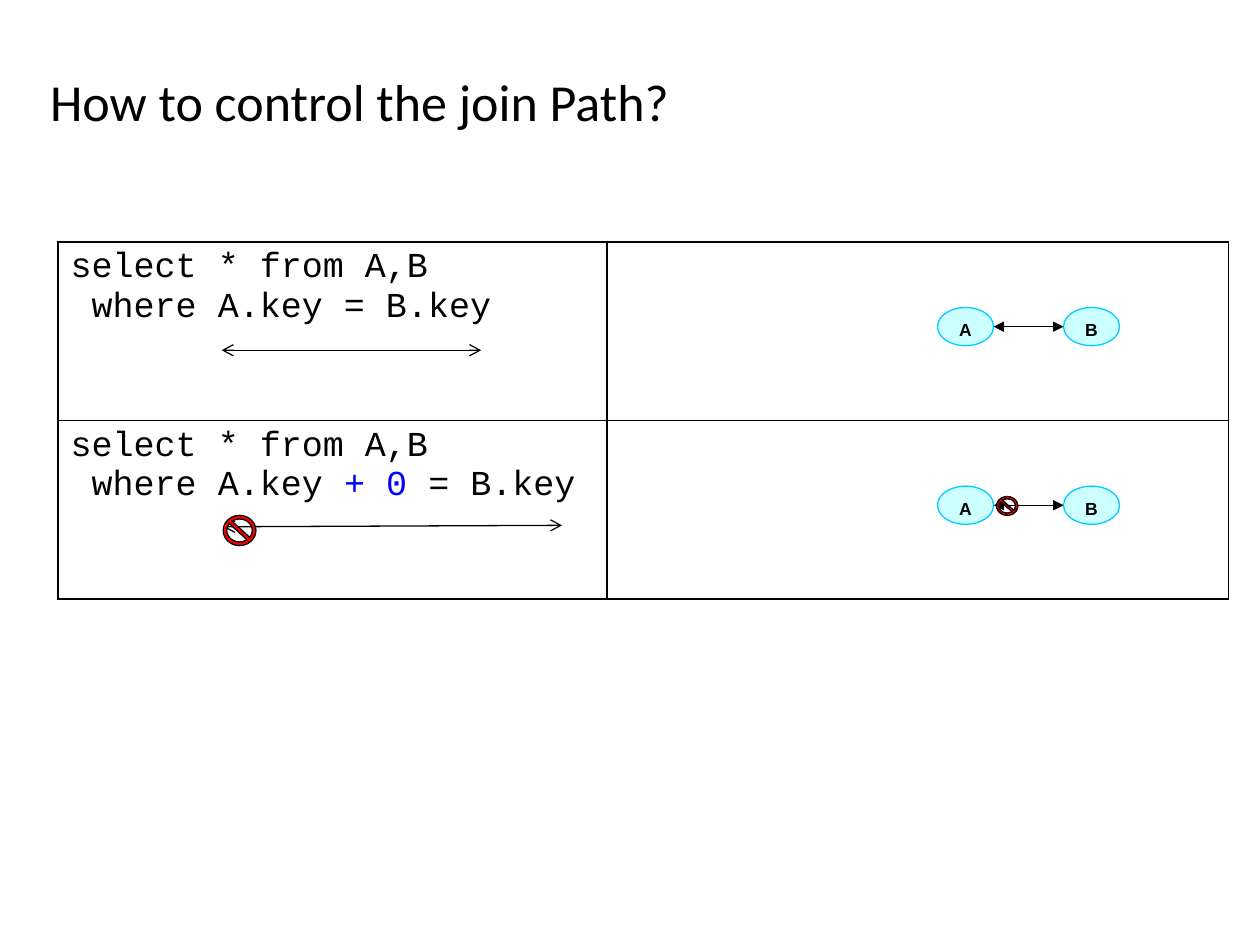
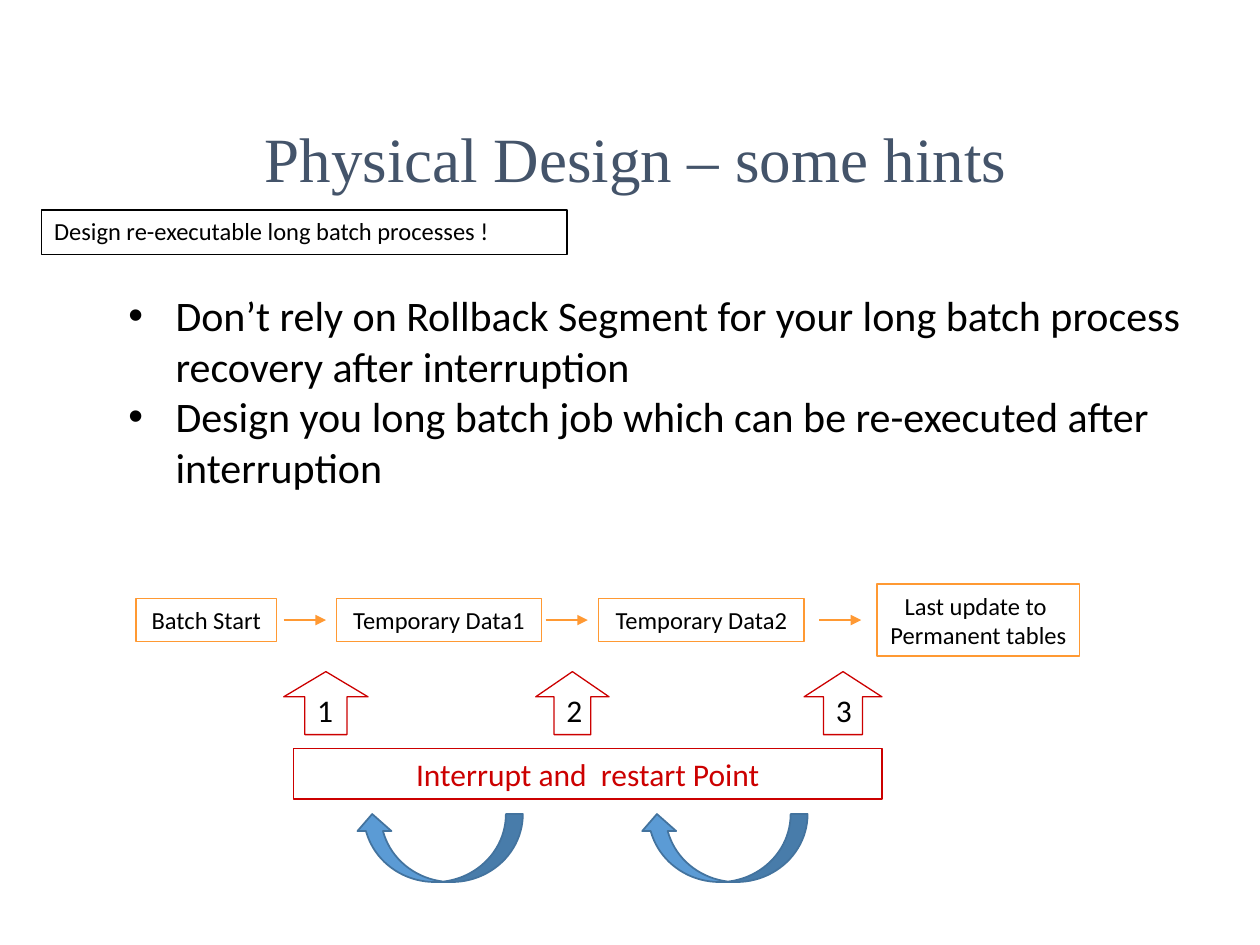
"""Builds two slides on join paths and re-executable batch processes."""
from pptx import Presentation
from pptx import util as u
from pptx.dml import color as dml
from pptx.enum import shapes, text
from pptx.oxml import ns, xmlchemy

COLOURS = {
    "ink": "000000", "slate": "44546A", "code": "0000FF", "node": "CCFFFF", "node_edge": "00CCFF",
    "stop": "FF0000", "step": "FF9933", "restart": "CC0000", "loop": "5B9BD5", "loop_edge": "43739E",
}
LEFT, CENTRE = text.PP_ALIGN.LEFT, text.PP_ALIGN.CENTER
TOP, MIDDLE = text.MSO_ANCHOR.TOP, text.MSO_ANCHOR.MIDDLE
STYLES = {
    "join_title": {"name": "Calibri", "size": 29.7},
    "hints_title": {"name": "Times New Roman", "size": 36},
    "query": {"name": "Courier New", "size": 20},
    "node": {"name": "Arial", "size": 10, "bold": True},
    "label": {"name": "Calibri", "size": 14},
    "restart": {"name": "Calibri", "size": 18},
    "hint": {"name": "Calibri", "size": 24},
}

JOIN_TITLE = "How to control the join Path?"
QUERIES = [
    ["select * from A,B", [(" where A.key = B.key", "ink")]],
    ["select * from A,B", [(" where A.key ", "ink"), ("+ 0", "code"), (" = B.key", "ink")]],
]
TABLE_AT, COLUMN_WIDTHS, ROW_HEIGHT = (1.17, 4.88), (11.07, 12.52), 3.6
NODES = [("A", 18.9), ("B", 21.44)]
NODE_TOP, NODE_SIZE = 6.2, (1.13, 0.77)
KEY_ARROWS = [(4.47, 7.06, 9.7, 7.06), (4.5, 10.62, 11.33, 10.59)]
STOP_SIGNS = [(20.09, 10.01, 0.43, 0.38), (4.5, 10.39, 0.66, 0.61)]

HINTS_TITLE = "Physical Design – some hints"
NOTE = "Design re-executable long batch processes !"
HINTS = [
    "Don’t rely on Rollback Segment for your long batch process recovery after interruption",
    "Design you long batch job which can be re-executed after interruption",
]
HINT_INDENT = 0.95
STEPS = [
    (["Batch Start"], 2.74, 2.84, 0.86),
    (["Temporary Data1"], 6.78, 4.14, 0.86),
    (["Temporary Data2"], 12.07, 4.14, 0.86),
    (["Last update to ", "Permanent tables"], 17.68, 4.09, 1.45),
]
STEP_MIDDLE, STEP_ARROW_LENGTH = 12.5, 0.85
STEP_ARROWS = [5.72, 11, 16.51]
RESTART_POINTS = [("1", 5.72, 1.7), ("2", 10.8, 1.48), ("3", 16.21, 1.57)]
RESTART_LABEL = "Interrupt and  restart Point"
LOOPS = [7.16, 12.9]


def rgb(name):
    return dml.RGBColor.from_string(COLOURS[name])


def assign(target, values):
    for name, value in values.items():
        setattr(target, name, value)


def child(parent, tag, **attributes):
    element = xmlchemy.OxmlElement(tag)
    for name, value in attributes.items():
        element.set(name, value)
    parent.append(element)
    return element


def write(frame, lines, style, colour="ink", align=LEFT, spacing=None):
    for index, line in enumerate(lines):
        para = frame.add_paragraph() if index else frame.paragraphs[0]
        assign(para, {"alignment": align, "line_spacing": spacing})
        for words, tint in [(line, colour)] if isinstance(line, str) else line:
            span = para.add_run()
            span.text = words
            assign(span.font, {**STYLES[style], "size": u.Pt(STYLES[style]["size"])})
            span.font.color.rgb = rgb(tint)


def add_text(page, at, lines, style, anchor=TOP, **options):
    box = page.shapes.add_textbox(*map(u.Cm, at))
    assign(box.text_frame, {"word_wrap": True, "vertical_anchor": anchor})
    write(box.text_frame, lines, style, **options)
    return box


def add_box(page, kind, at, line, fill=None, weight=0.75, lines=(), style="label",
            anchor=MIDDLE, wrap=True, adjust=(), **options):
    box = page.shapes.add_shape(kind, *map(u.Cm, at))
    box.shadow.inherit = False
    for index, value in enumerate(adjust):
        box.adjustments[index] = value
    if fill:
        box.fill.solid()
        box.fill.fore_color.rgb = rgb(fill)
    else:
        box.fill.background()
    box.line.color.rgb = rgb(line)
    box.line.width = u.Pt(weight)
    assign(box.text_frame, {"word_wrap": wrap, "vertical_anchor": anchor})
    write(box.text_frame, lines, style, **options)
    return box


def add_arrow(page, ends, colour, **heads):
    arrow = page.shapes.add_connector(shapes.MSO_CONNECTOR.STRAIGHT, *map(u.Cm, ends))
    arrow.line.color.rgb = rgb(colour)
    arrow.line.width = u.Pt(0.75)
    outline = arrow.line._get_or_add_ln()
    for tag, kind in heads.items():
        child(outline, f"a:{tag}", type=kind)
    child(arrow._element.spPr, "a:effectLst")


def border(cell):
    properties = cell._tc.get_or_add_tcPr()
    for index, side in enumerate(("lnL", "lnR", "lnT", "lnB")):
        edge = xmlchemy.OxmlElement(f"a:{side}")
        edge.set("w", str(u.Pt(1)))
        child(child(edge, "a:solidFill"), "a:srgbClr", val=COLOURS["ink"])
        properties.insert(index, edge)


def add_query_table(page):
    size = sum(COLUMN_WIDTHS), ROW_HEIGHT * len(QUERIES)
    table = page.shapes.add_table(len(QUERIES), 2, *map(u.Cm, TABLE_AT + size)).table
    assign(table, {"first_row": False, "horz_banding": False})
    for column, width in zip(table.columns, COLUMN_WIDTHS):
        column.width = u.Cm(width)
    for row, query in zip(table.rows, QUERIES):
        row.height = u.Cm(ROW_HEIGHT)
        for cell in row.cells:
            cell.fill.background()
            border(cell)
        write(row.cells[0].text_frame, query, "query")


def build_join_slide(page):
    add_text(page, (0.76, 1.52, 14.78, 1.3), [JOIN_TITLE], "join_title", spacing=0.8)
    add_query_table(page)
    width, height = NODE_SIZE
    for row in range(len(QUERIES)):
        top = NODE_TOP + row * ROW_HEIGHT
        for name, left in NODES:
            add_box(page, shapes.MSO_SHAPE.OVAL, (left, top, width, height), "node_edge", "node",
                    lines=[name], style="node", anchor=TOP, align=CENTRE)
        middle = top + height / 2
        add_arrow(page, (NODES[0][1] + width, middle, NODES[1][1], middle), "ink",
                  headEnd="triangle", tailEnd="triangle")
    for ends in KEY_ARROWS:
        add_arrow(page, ends, "ink", headEnd="arrow", tailEnd="arrow")
    for at in STOP_SIGNS:
        add_box(page, shapes.MSO_SHAPE.NO_SYMBOL, at, "ink", "stop", adjust=[0.12])


def build_hints_slide(page):
    rectangle = shapes.MSO_SHAPE.RECTANGLE
    add_box(page, rectangle, (0.84, 4.24, 10.59, 0.89), "ink", weight=1, lines=[NOTE], anchor=TOP)
    add_text(page, (4.24, 2.54, 17.15, 1.27), [HINTS_TITLE], "hints_title",
             anchor=MIDDLE, colour="slate", align=CENTRE)
    hints = add_text(page, (2.34, 5.72, 22.02, 4.37), HINTS, "hint")
    for para in hints.text_frame.paragraphs:
        properties = para._p.get_or_add_pPr()
        properties.set("marL", str(u.Cm(HINT_INDENT)))
        properties.set("indent", str(-u.Cm(HINT_INDENT)))
        child(properties, "a:buFont", typeface="Arial")
        child(properties, "a:buChar", char="•")
    for lines, left, width, height in STEPS:
        add_box(page, rectangle, (left, STEP_MIDDLE - height / 2, width, height), "step",
                lines=lines, wrap=False, align=CENTRE)
    for left in STEP_ARROWS:
        add_arrow(page, (left, STEP_MIDDLE, left + STEP_ARROW_LENGTH, STEP_MIDDLE), "step",
                  tailEnd="triangle")
    for number, left, width in RESTART_POINTS:
        add_box(page, shapes.MSO_SHAPE.UP_ARROW, (left, 13.54, width, 1.27), "restart",
                lines=[number], style="restart", adjust=[0.5, 0.4])
    add_box(page, rectangle, (5.92, 15.09, 11.86, 1.02), "restart", lines=[RESTART_LABEL],
            style="restart", colour="restart", align=CENTRE)
    for left in LOOPS:
        loop = add_box(page, shapes.MSO_SHAPE.CURVED_DOWN_ARROW, (left, 16.41, 3.38, 1.37),
                       "loop_edge", "loop", weight=1)
        loop.rotation = 180


def main():
    deck = Presentation()
    assign(deck, {"slide_width": u.Cm(25.4), "slide_height": u.Cm(19.05)})
    for build in (build_join_slide, build_hints_slide):
        build(deck.slides.add_slide(deck.slide_layouts[6]))
    deck.save("out.pptx")


if __name__ == "__main__":
    main()
